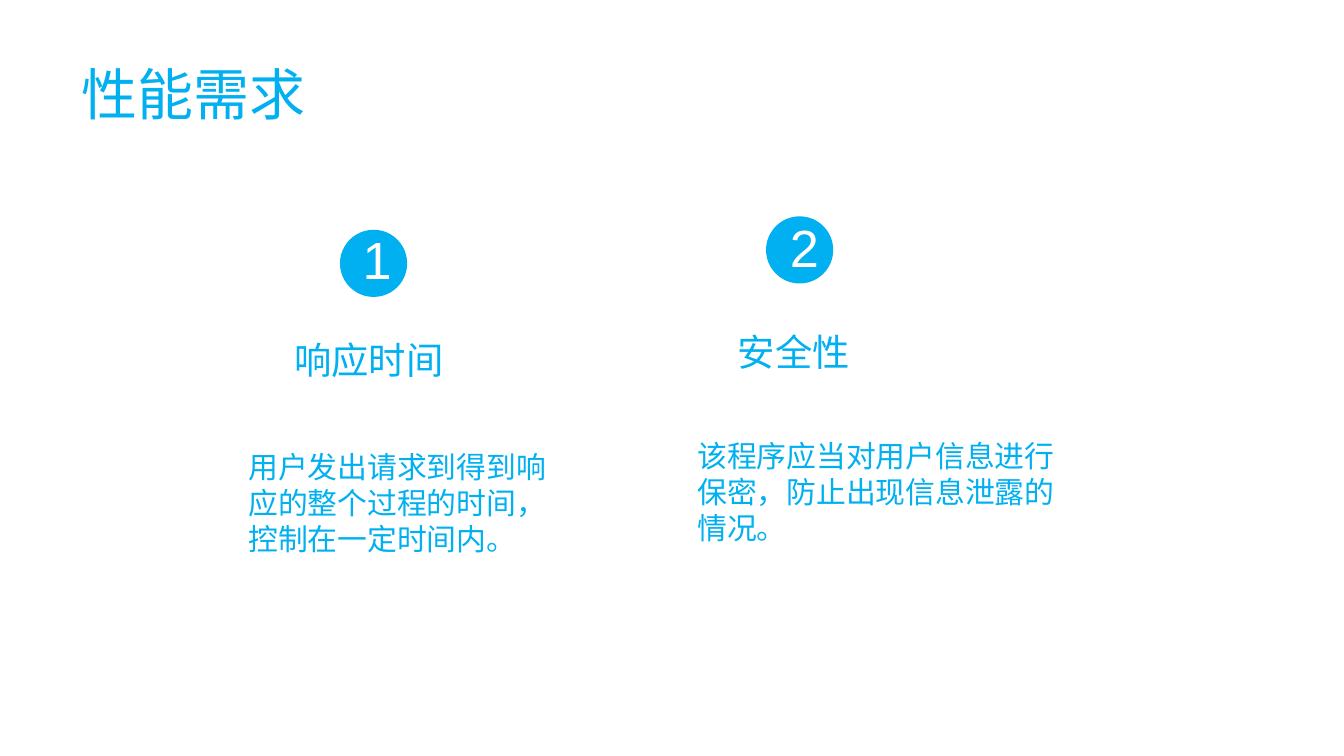
from lxml import etree
from pptx import Presentation
from pptx.dml.color import RGBColor
from pptx.enum import shapes, text
from pptx.oxml.ns import qn
from pptx.util import Inches, Pt

COLORS = {"blue": "00B0F0", "white": "FFFFFF"}
CHINESE = "Noto Sans CJK SC"
TITLE = "性能需求"
# Each box is left, top, width, height in inches
REQUIREMENTS = [
    {"number": "1", "circle": (2.53, 1.71), "digit": (2.6, 1.64),
     "heading": ("响应时间", (2.09, 2.46, 1.36, 0.44)),
     "detail": ("用户发出请求到得到响应的整个过程的时间，控制在一定时间内。",
                (1.75, 3.29, 2.55, 0.91))},
    {"number": "2", "circle": (5.7, 1.61), "digit": (5.78, 1.55),
     "heading": ("安全性", (5.39, 2.4, 1.18, 0.44)),
     "detail": ("该程序应当对用户信息进行保密，防止出现信息泄露的情况。",
                (5.09, 3.21, 2.97, 0.91))},
]
CIRCLE_SIZE = (0.5, 0.5)
DIGIT_SIZE = (0.34, 0.57)

# Widescreen slide, 16:9
presentation = Presentation()
presentation.slide_width = Inches(10)
presentation.slide_height = Inches(10 * 9 / 16)
slide = presentation.slides.add_slide(presentation.slide_layouts[6])


def add_filled(kind, box, color, opacity=100):
    shape = slide.shapes.add_shape(kind, *map(Inches, box))
    shape.shadow.inherit = False
    shape.line.fill.background()
    shape.fill.solid()
    shape.fill.fore_color.rgb = RGBColor.from_string(COLORS[color])
    if opacity < 100:
        fill_color = shape._element.spPr.find(".//" + qn("a:srgbClr"))
        etree.SubElement(fill_color, qn("a:alpha"), val=str(opacity * 1000))
    return shape


def write(shape, content, size, color="blue", font=CHINESE, wrap=True,
          align=text.PP_ALIGN.LEFT):
    frame = shape.text_frame
    frame.word_wrap = wrap
    frame.auto_size = text.MSO_AUTO_SIZE.SHAPE_TO_FIT_TEXT
    frame.vertical_anchor = text.MSO_ANCHOR.TOP
    paragraph = frame.paragraphs[0]
    paragraph.alignment = align
    run = paragraph.add_run()
    run.text = content
    run.font.size = Pt(size)
    run.font.color.rgb = RGBColor.from_string(COLORS[color])
    run.font.name = font
    etree.SubElement(run.font._element, qn("a:ea"), typeface=font)


def add_text(box, content, size, **style):
    write(slide.shapes.add_textbox(*map(Inches, box)), content, size, **style)


# Title
add_text((0.51, 0.39, 1.88, 0.61), TITLE, 30, wrap=False)

# Numbered requirements
for requirement in REQUIREMENTS:
    add_filled(shapes.MSO_SHAPE.OVAL, requirement["circle"] + CIRCLE_SIZE, "blue")
    add_text(requirement["digit"] + DIGIT_SIZE, requirement["number"], 28,
             color="white", font="Arial", align=text.PP_ALIGN.CENTER)
    for part, size in (("heading", 20), ("detail", 16)):
        content, box = requirement[part]
        panel = add_filled(shapes.MSO_SHAPE.RECTANGLE, box, "white", opacity=80)
        write(panel, content, size)

presentation.save("out.pptx")
